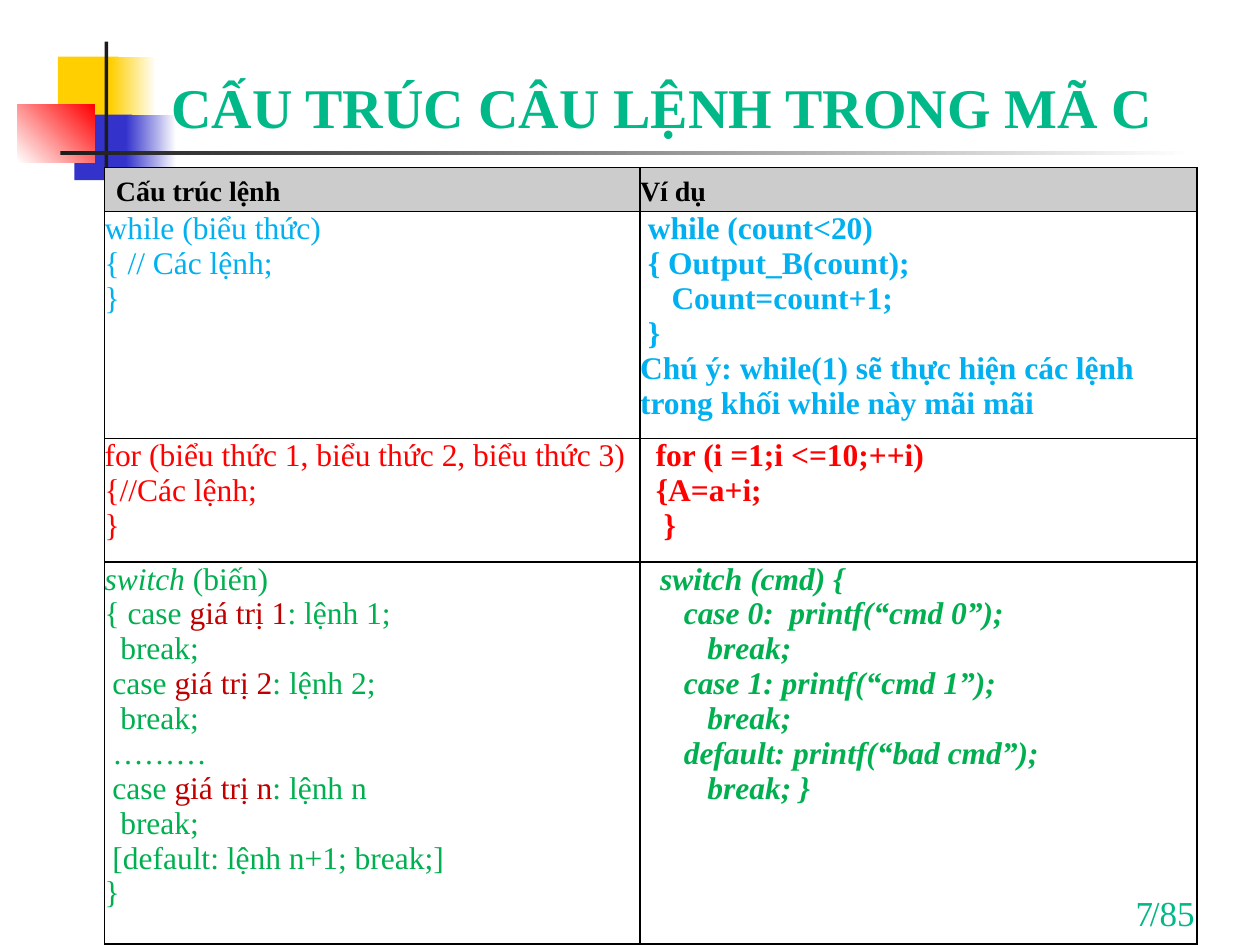
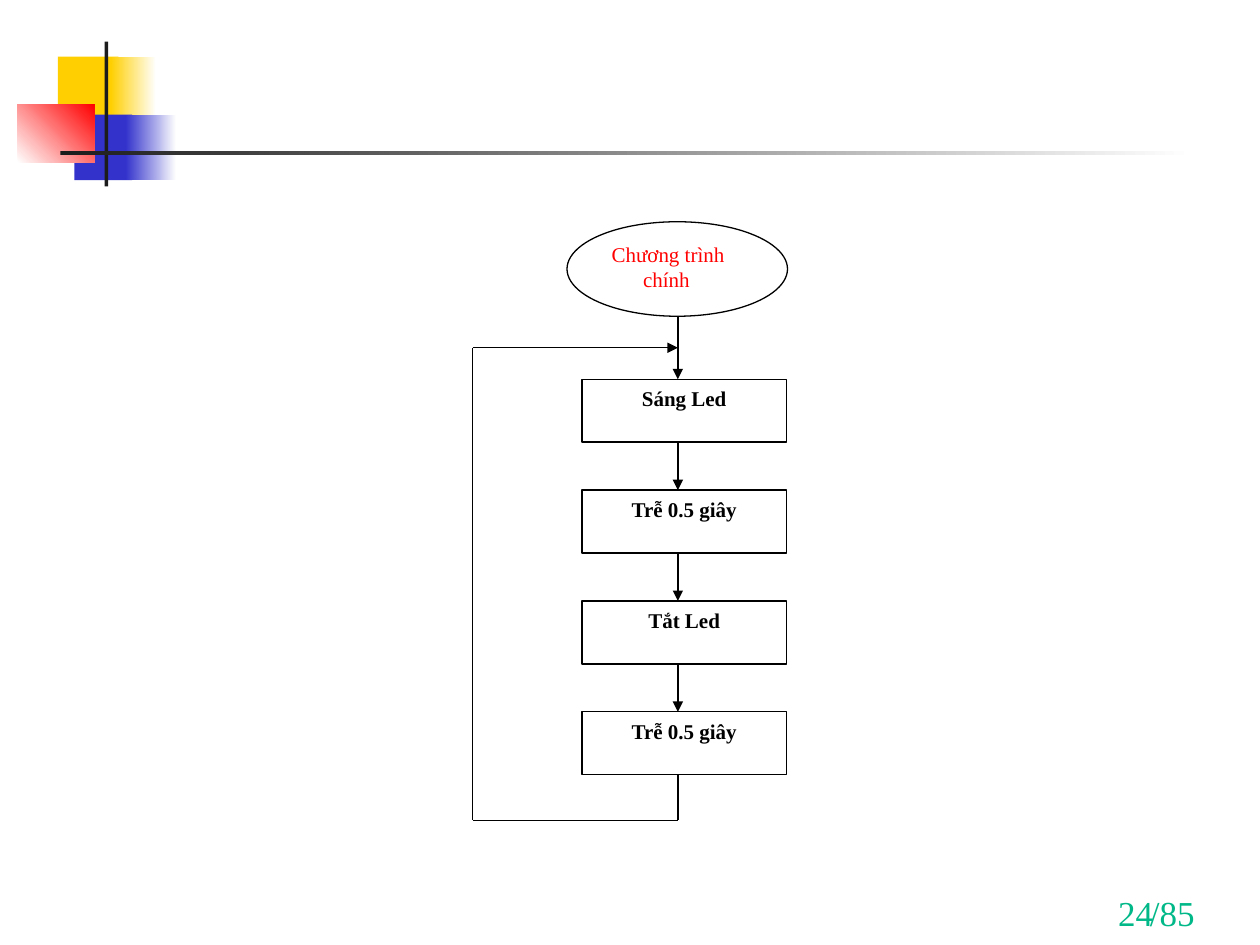
"""Build two slides on C statements: a syntax table and a LED flowchart."""
import pptx
import pptx.util
import pptx.dml.color
import pptx.enum.shapes
import pptx.enum.text
import pptx.oxml
import pptx.oxml.ns

Inches, Pt = pptx.util.Inches, pptx.util.Pt
SHAPE = pptx.enum.shapes.MSO_SHAPE
ALIGN = pptx.enum.text.PP_ALIGN
ANCHOR = pptx.enum.text.MSO_ANCHOR

FONT = "Times New Roman"
COLORS = {
    "accent": "00B888", "ink": "000000", "paper": "FFFFFF", "header": "CCCCCC",
    "yellow": "FFCF01", "blue": "3333CC", "red": "FF0000", "rule": "1C1C1C",
    "while": "00B0F0", "for": "FF0000", "switch": "00B050", "value": "C00000",
}

BAND = [
    ((0.46, 0.45, 0.48, 0.52), ["yellow"], 0),
    ((0.88, 0.45, 0.36, 0.52), ["yellow", "paper"], 0),
    ((0.59, 0.91, 0.46, 0.52), ["blue"], 0),
    ((1, 0.91, 0.4, 0.52), ["blue", "paper"], 0),
    ((0.14, 0.83, 0.61, 0.46), ["paper", "red"], 45),
    ((0.83, 0.33, 0.03, 1.15), ["rule"], 0),
    ((0.48, 1.2, 9, 0.03), ["rule", "paper"], 0),
]

TITLE = "CẤU TRÚC CÂU LỆNH TRONG MÃ C"
HEADINGS = [("Cấu trúc lệnh", 0.09), ("Ví dụ", 0)]
STATEMENTS = [
    ("while",
     ["while (biểu thức)", "{ // Các lệnh;", "}"],
     [" while (count<20)", " { Output_B(count);", "    Count=count+1;", " }",
      "Chú ý: while(1) sẽ thực hiện các lệnh trong khối while này mãi mãi"]),
    ("for",
     ["for (biểu thức 1, biểu thức 2, biểu thức 3)", "{//Các lệnh;", "}"],
     ["  for (i =1;i <=10;++i)", "  {A=a+i;", "   }"]),
    ("switch",
     [[("switch ", "keyword"), ("(biến)", "")],
      [("{ case ", ""), ("giá trị 1", "value"), (": lệnh 1;", "")],
      "  break;",
      [(" case ", ""), ("giá trị 2", "value"), (": lệnh 2;", "")],
      "  break;",
      " ………",
      [(" case ", ""), ("giá trị n", "value"), (": lệnh n", "")],
      "  break;",
      " [default: lệnh n+1; break;]",
      "}"],
     ["switch (cmd) {", "   case 0:  printf(“cmd 0”);", "      break;",
      "   case 1: printf(“cmd 1”);", "      break;",
      "   default: printf(“bad cmd”);", "      break; }"]),
]
COLUMN_WIDTHS = [4.25, 4.42]
ROW_HEIGHTS = [0.35, 1.8, 0.98, 3.03]

START = [("Chương trình", 0), ("chính", 0.25)]
STEPS = ["Sáng Led", "Trễ 0.5 giây", "Tắt Led", "Trễ 0.5 giây"]
START_AT = (4.5, 1.76, 1.75, 0.75)
STEP_LEFT, STEP_TOP, STEP_WIDTH, STEP_HEIGHT, STEP_PITCH = 4.62, 3.01, 1.62, 0.5, 0.88
FLOW_X, LOOP_X, LOOP_TOP, LOOP_BOTTOM = 5.38, 3.75, 2.76, 6.51


def rgb(name):
    return pptx.dml.color.RGBColor.from_string(COLORS[name])


def place(at):
    return [Inches(length) for length in at]


def style(paragraph, size, color, bold=False, italic=False, align=None):
    if align is not None:
        paragraph.alignment = align
    font = paragraph.font
    font.name, font.size, font.bold, font.italic = FONT, Pt(size), bold, italic
    font.color.rgb = rgb(color)


def indent(paragraph, left):
    properties = paragraph._p.get_or_add_pPr()
    properties.set("marL", str(Inches(left)))
    properties.set("indent", "0")


def paragraphs(frame, lines):
    for index, line in enumerate(lines):
        yield (frame.add_paragraph() if index else frame.paragraphs[0]), line


def add_label(slide, at, text, size, bold=False, align=ALIGN.LEFT):
    frame = slide.shapes.add_textbox(*place(at)).text_frame
    frame.word_wrap = True
    frame.vertical_anchor = ANCHOR.BOTTOM
    frame.text = text
    style(frame.paragraphs[0], size, "accent", bold, align=align)


def add_band(slide):
    for at, tones, angle in BAND:
        block = slide.shapes.add_shape(SHAPE.RECTANGLE, *place(at))
        block.shadow.inherit = False
        block.line.fill.background()
        if len(tones) == 1:
            block.fill.solid()
            block.fill.fore_color.rgb = rgb(tones[0])
        else:
            block.fill.gradient()
            block.fill.gradient_angle = angle
            for position, (stop, tone) in enumerate(zip(block.fill.gradient_stops, tones)):
                stop.position = position
                stop.color.rgb = rgb(tone)


def new_slide(deck, number):
    slide = deck.slides.add_slide(deck.slide_layouts[6])
    add_band(slide)
    add_label(slide, (7.5, 6.96, 2.08, 0.5), "/85", 20, align=ALIGN.RIGHT)
    add_label(slide, (7.17, 6.96, 2.08, 0.5), number, 20, align=ALIGN.RIGHT)
    return slide


def frame_cell(cell, fill=None):
    cell.margin_left = cell.margin_right = cell.margin_top = cell.margin_bottom = 0
    if fill:
        cell.fill.solid()
        cell.fill.fore_color.rgb = rgb(fill)
    else:
        cell.fill.background()
    properties = cell._tc.get_or_add_tcPr()
    for index, side in enumerate(("lnL", "lnR", "lnT", "lnB")):
        properties.insert(index, pptx.oxml.parse_xml(
            f'<a:{side} {pptx.oxml.ns.nsdecls("a")} w="{Pt(1)}"><a:solidFill>'
            f'<a:srgbClr val="{COLORS["ink"]}"/></a:solidFill></a:{side}>'))


def write_code(cell, lines, color, example):
    frame_cell(cell)
    formal = example and color == "switch"
    for paragraph, line in paragraphs(cell.text_frame, lines):
        for text, kind in [(line, "")] if isinstance(line, str) else line:
            run = paragraph.add_run()
            run.text = text
            if kind == "value":
                run.font.color.rgb = rgb("value")
            elif kind == "keyword":
                run.font.italic = True
        if formal:
            indent(paragraph, 0.16)
        style(paragraph, 18, color, bold=example, italic=formal,
              align=ALIGN.JUSTIFY if formal else ALIGN.LEFT)


def build_statements(deck):
    slide = new_slide(deck, "7")
    add_label(slide, (1.26, 0.08, 8.32, 1.08), TITLE, 32, bold=True)
    size = (sum(COLUMN_WIDTHS), sum(ROW_HEIGHTS))
    table = slide.shapes.add_table(
        len(ROW_HEIGHTS), len(COLUMN_WIDTHS), *place((0.83, 1.33, *size))).table
    table.first_row = table.horz_banding = False
    for column, width in zip(table.columns, COLUMN_WIDTHS):
        column.width = Inches(width)
    for row, height in zip(table.rows, ROW_HEIGHTS):
        row.height = Inches(height)
    for column, (heading, left) in enumerate(HEADINGS):
        cell = table.cell(0, column)
        frame_cell(cell, "header")
        cell.text = heading
        paragraph = cell.text_frame.paragraphs[0]
        indent(paragraph, left)
        paragraph.line_spacing = 1.3
        style(paragraph, 16, "ink", bold=True, align=ALIGN.JUSTIFY)
    for row, (color, syntax, example) in enumerate(STATEMENTS, 1):
        write_code(table.cell(row, 0), syntax, color, False)
        write_code(table.cell(row, 1), example, color, True)


def add_node(slide, kind, at):
    node = slide.shapes.add_shape(kind, *place(at))
    node.shadow.inherit = False
    node.fill.solid()
    node.fill.fore_color.rgb = rgb("paper")
    node.line.color.rgb = rgb("ink")
    node.line.width = Pt(0.75)
    node.text_frame.word_wrap = True
    node.text_frame.vertical_anchor = ANCHOR.TOP
    return node.text_frame


def add_flow(slide, start, end, arrow=True):
    flow = slide.shapes.add_connector(
        pptx.enum.shapes.MSO_CONNECTOR.STRAIGHT, *place((*start, *end)))
    flow.line.color.rgb = rgb("ink")
    flow.line.width = Pt(0.75)
    namespace = pptx.oxml.ns.nsdecls("a")
    if arrow:
        flow.line._get_or_add_ln().append(
            pptx.oxml.parse_xml(f'<a:tailEnd {namespace} type="triangle"/>'))
    flow._element.spPr.append(pptx.oxml.parse_xml(f"<a:effectLst {namespace}/>"))


def build_flowchart(deck):
    slide = new_slide(deck, "24")
    start = add_node(slide, SHAPE.OVAL, START_AT)
    for paragraph, (text, left) in paragraphs(start, START):
        paragraph.text = text
        indent(paragraph, left)
        style(paragraph, 12, "red", align=ALIGN.LEFT)
    bottom = START_AT[1] + START_AT[3]
    for index, step in enumerate(STEPS):
        top = STEP_TOP + index * STEP_PITCH
        frame = add_node(slide, SHAPE.RECTANGLE, (STEP_LEFT, top, STEP_WIDTH, STEP_HEIGHT))
        frame.text = step
        style(frame.paragraphs[0], 12, "ink", bold=True, align=ALIGN.CENTER)
        add_flow(slide, (FLOW_X, bottom), (FLOW_X, top))
        bottom = top + STEP_HEIGHT
    loop = [(FLOW_X, bottom), (FLOW_X, LOOP_BOTTOM), (LOOP_X, LOOP_BOTTOM),
            (LOOP_X, LOOP_TOP), (FLOW_X, LOOP_TOP)]
    for corner, following in zip(loop, loop[1:]):
        add_flow(slide, corner, following, arrow=following == loop[-1])


def main():
    deck = pptx.Presentation()
    deck.slide_width, deck.slide_height = Inches(10), Inches(7.5)
    build_statements(deck)
    build_flowchart(deck)
    deck.save("out.pptx")


if __name__ == "__main__":
    main()
